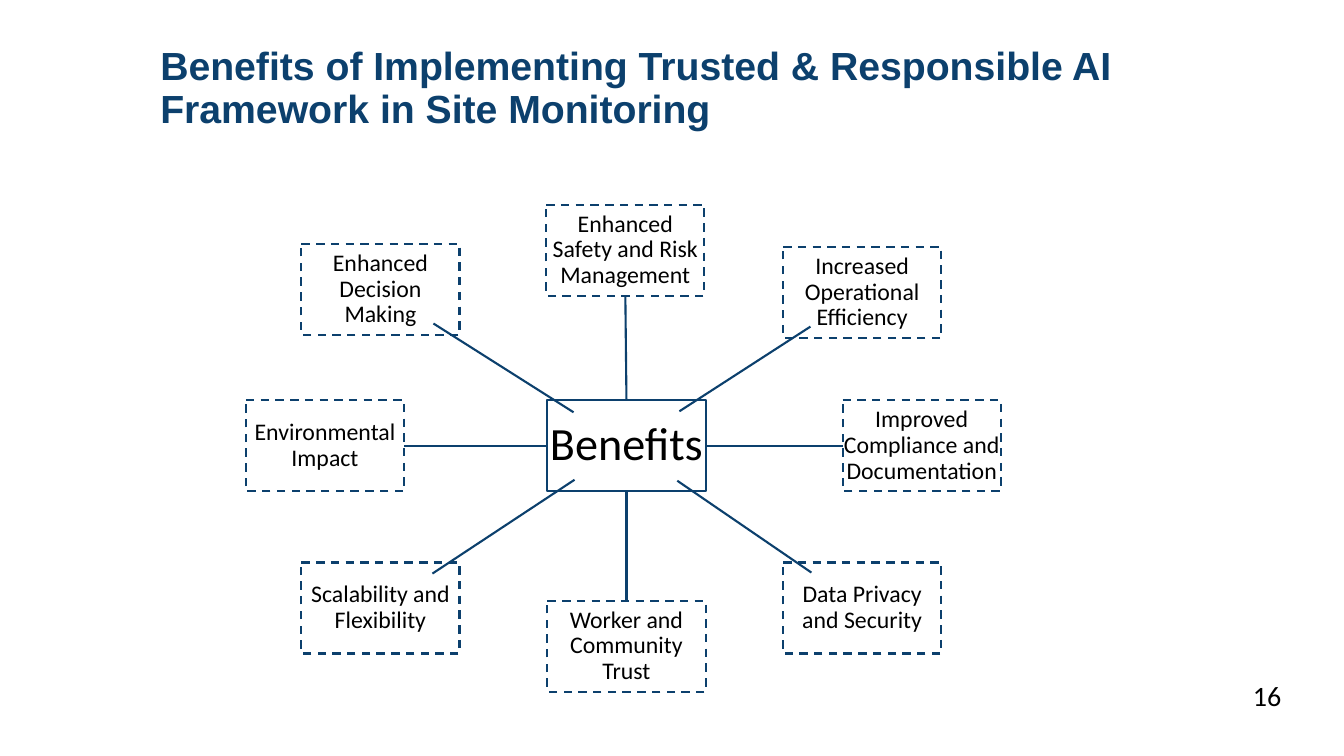
"""Build a hub-and-spoke slide on the benefits of a trusted AI framework."""
from dataclasses import dataclass
from typing import Optional

from lxml import etree
from pptx import Presentation
from pptx.dml.color import RGBColor
from pptx.enum.dml import MSO_LINE
from pptx.enum.shapes import MSO_CONNECTOR, MSO_SHAPE
from pptx.enum.text import MSO_ANCHOR, MSO_AUTO_SIZE, PP_ALIGN
from pptx.oxml.ns import qn
from pptx.util import Pt

DASH = MSO_LINE.DASH
STRAIGHT = MSO_CONNECTOR.STRAIGHT
PROCESS = MSO_SHAPE.FLOWCHART_PROCESS
TOP, MIDDLE = MSO_ANCHOR.TOP, MSO_ANCHOR.MIDDLE
NO_FIT = MSO_AUTO_SIZE.NONE
LEFT, CENTER = PP_ALIGN.LEFT, PP_ALIGN.CENTER
NORTH, WEST, SOUTH, EAST = range(4)


@dataclass(frozen=True)
class Theme:
    navy: RGBColor = RGBColor(0x0C, 0x40, 0x6D)
    black: RGBColor = RGBColor(0, 0, 0)
    head: str = "Arial"
    body: str = "Calibri"
    title: float = 28
    hub: float = 33
    node: float = 17
    page: float = 20
    line: float = 1.5


@dataclass(frozen=True)
class Node:
    text: str
    x: float
    y: float
    side: Optional[int] = None
    ends: tuple = (0, 0, 0, 0)


THEME = Theme()
WIDTH, HEIGHT = 113, 65
HUB = Node("Benefits", 391, 285.8)
NODES = [
    Node("Enhanced Safety and Risk Management", 390.2, 146.2, NORTH),
    Node("Increased Operational Efficiency", 559.4, 176.4,
         ends=(485.3, 293.8, 578.9, 233.3)),
    Node("Improved Compliance and Documentation", 601.9, 285.8, EAST),
    Node("Data Privacy and Security", 559.4, 401.8,
         ends=(483.8, 343.4, 579.6, 409)),
    Node("Worker and Community Trust", 391, 429.1, SOUTH),
    Node("Scalability and Flexibility", 215.3, 401.8,
         ends=(410.4, 342.7, 308.9, 409.7)),
    Node("Environmental Impact", 175.7, 285.8, WEST),
    Node("Enhanced Decision Making", 215.3, 174.2,
         ends=(409.7, 294.5, 309.6, 231.1)),
]


def write(shape, text: str, *, size: float, font: str = THEME.body,
          color: RGBColor = THEME.black, bold: bool = False, align=LEFT,
          anchor=MIDDLE, inset: Optional[float] = None,
          space: float = 0.9) -> None:
    frame = shape.text_frame
    frame.auto_size = NO_FIT
    frame.word_wrap = True
    frame.vertical_anchor = anchor
    if inset is not None:
        frame.margin_left = frame.margin_right = Pt(inset)
        frame.margin_top = frame.margin_bottom = Pt(inset)
    para = frame.paragraphs[0]
    para.alignment = align
    para.line_spacing = space
    run = para.add_run()
    run.text = text
    run.font.size = Pt(size)
    run.font.name = font
    run.font.bold = bold
    run.font.color.rgb = color


def stroke(shape) -> None:
    shape.line.color.rgb = THEME.navy
    shape.line.width = Pt(THEME.line)


def box(slide, node: Node, size: float, dash: bool = True):
    shape = slide.shapes.add_shape(
        PROCESS, Pt(node.x), Pt(node.y), Pt(WIDTH), Pt(HEIGHT))
    shape.shadow.inherit = False
    shape.fill.background()
    stroke(shape)
    if dash:
        shape.line.dash_style = DASH
    write(shape, node.text, size=size, align=CENTER, inset=0)
    return shape


def spoke(slide, hub, shape, node: Node) -> None:
    line = slide.shapes.add_connector(STRAIGHT, *map(Pt, node.ends))
    if node.side is not None:
        line.begin_connect(hub, node.side)
        line.end_connect(shape, (node.side + 2) % 4)
    stroke(line)
    etree.SubElement(line.element.spPr, qn("a:effectLst"))


def main() -> None:
    deck = Presentation()
    deck.slide_width, deck.slide_height = Pt(960), Pt(540)
    slide = deck.slides.add_slide(deck.slide_layouts[5])

    title = slide.shapes.title
    title.left, title.top = Pt(107.3), Pt(7.2)
    title.width, title.height = Pt(708.5), Pt(113)
    write(title, "Benefits of Implementing Trusted & Responsible AI "
          "Framework in Site Monitoring", size=THEME.title, font=THEME.head,
          color=THEME.navy, bold=True)

    hub = box(slide, HUB, THEME.hub, dash=False)
    for node in NODES:
        shape = box(slide, node, THEME.node)
        spoke(slide, hub, shape, node)

    page = slide.shapes.add_textbox(Pt(887.8), Pt(481), Pt(39.6), Pt(31.7))
    write(page, "16", size=THEME.page, anchor=TOP, space=1.0)
    deck.save("out.pptx")


if __name__ == "__main__":
    main()
